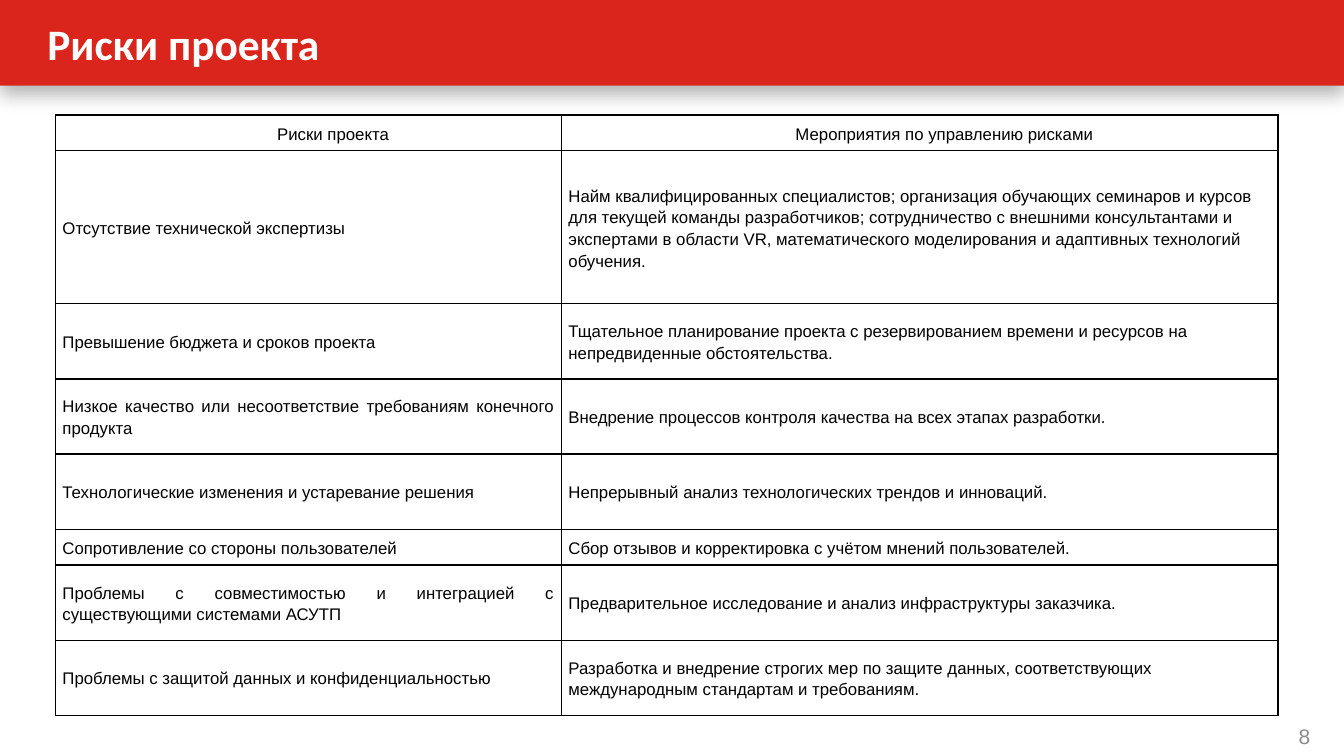
from dataclasses import dataclass

from lxml import etree
from pptx import Presentation
from pptx.dml.color import RGBColor
from pptx.enum.shapes import MSO_SHAPE
from pptx.enum.text import MSO_ANCHOR, MSO_AUTO_SIZE, PP_ALIGN
from pptx.oxml import parse_xml
from pptx.oxml.ns import nsdecls
from pptx.util import Emu, Inches, Pt

LEFT, CENTER, RIGHT, JUSTIFY = PP_ALIGN.LEFT, PP_ALIGN.CENTER, PP_ALIGN.RIGHT, PP_ALIGN.JUSTIFY
MIDDLE = MSO_ANCHOR.MIDDLE
NO_AUTOFIT = MSO_AUTO_SIZE.NONE
RECTANGLE = MSO_SHAPE.RECTANGLE

# Grid: 160 columns by 90 rows of square units
COLUMNS, ROWS = 160, 90
UNIT = Inches(1) / 12

RED, WHITE, BLACK, GRAY = "DA251D", "FFFFFF", "000000", "8C8C8C"
BANNER_HEIGHT = 10.2
COLUMN_WIDTHS = (60.24, 85.32)
SHORT_ROW, MEDIUM_ROW, TALL_ROW = 4.28, 8.94, 18.22


@dataclass(frozen=True)
class Box:
    left: float
    top: float
    width: float
    height: float


@dataclass(frozen=True)
class TextStyle:
    font: str
    size: float
    color: str
    align: PP_ALIGN = LEFT
    bold: bool = False


@dataclass(frozen=True)
class RiskRow:
    risk: str
    measure: str
    height: float = MEDIUM_ROW
    risk_align: PP_ALIGN = JUSTIFY
    measure_align: PP_ALIGN = LEFT


RISK_ROWS = (
    RiskRow("Риски проекта", "Мероприятия по управлению рисками", SHORT_ROW, CENTER, CENTER),
    RiskRow(
        "Отсутствие технической экспертизы",
        "Найм квалифицированных специалистов; организация обучающих семинаров и курсов "
        "для текущей команды разработчиков; сотрудничество с внешними консультантами и "
        "экспертами в области VR, математического моделирования и адаптивных технологий "
        "обучения.",
        TALL_ROW,
        LEFT,
    ),
    RiskRow(
        "Превышение бюджета и сроков проекта",
        "Тщательное планирование проекта с резервированием времени и ресурсов на "
        "непредвиденные обстоятельства.",
    ),
    RiskRow(
        "Низкое качество или несоответствие требованиям конечного продукта",
        "Внедрение процессов контроля качества на всех этапах разработки.",
    ),
    RiskRow(
        "Технологические изменения и устаревание решения",
        "Непрерывный анализ технологических трендов и инноваций.",
    ),
    RiskRow(
        "Сопротивление со стороны пользователей",
        "Сбор отзывов и корректировка с учётом мнений пользователей.",
        SHORT_ROW,
    ),
    RiskRow(
        "Проблемы с совместимостью и интеграцией с существующими системами АСУТП",
        "Предварительное исследование и анализ инфраструктуры заказчика.",
    ),
    RiskRow(
        "Проблемы с защитой данных и конфиденциальностью",
        "Разработка и внедрение строгих мер по защите данных, соответствующих "
        "международным стандартам и требованиям.",
    ),
)


def units(count: float) -> Emu:
    return Emu(round(count * UNIT))


def rgb(color: str) -> RGBColor:
    return RGBColor.from_string(color)


def place(shape, box: Box) -> None:
    shape.left, shape.top = units(box.left), units(box.top)
    shape.width, shape.height = units(box.width), units(box.height)


def style_paragraph(paragraph, style: TextStyle) -> None:
    paragraph.alignment = style.align
    for run in paragraph.runs:
        run.font.name = style.font
        run.font.size = Pt(style.size)
        run.font.bold = style.bold
        run.font.color.rgb = rgb(style.color)


def write_text(shape, text: str, style: TextStyle) -> None:
    frame = shape.text_frame
    frame.text = text
    frame.word_wrap = True
    frame.auto_size = NO_AUTOFIT
    frame.vertical_anchor = MIDDLE
    frame.margin_left = frame.margin_right = Inches(0.13)
    frame.margin_top = frame.margin_bottom = Inches(0.06)
    style_paragraph(frame.paragraphs[0], style)


def add_banner(slide) -> None:
    banner = slide.shapes.add_shape(RECTANGLE, 0, 0, units(COLUMNS), units(BANNER_HEIGHT))
    banner.fill.solid()
    banner.fill.fore_color.rgb = rgb(RED)
    banner.line.fill.background()
    banner.shadow.inherit = False
    effects = banner._element.spPr.find("{*}effectLst")
    effects.append(parse_xml(
        f'<a:outerShdw {nsdecls("a")} blurRad="{Pt(14)}" dist="{Pt(5)}" dir="5400000" '
        f'algn="t" rotWithShape="0"><a:srgbClr val="{BLACK}"><a:alpha val="31000"/>'
        '</a:srgbClr></a:outerShdw>'
    ))
    # Keep the banner behind the title
    slide.shapes._spTree.insert(2, banner._element)


def draw_borders(cell) -> None:
    properties = cell._tc.get_or_add_tcPr()
    for position, side in enumerate(("lnL", "lnR", "lnT", "lnB")):
        border = parse_xml(
            f'<a:{side} {nsdecls("a")} w="{Pt(1)}"><a:solidFill>'
            f'<a:srgbClr val="{BLACK}"/></a:solidFill></a:{side}>'
        )
        properties.insert(position, border)


def fill_cell(cell, text: str, align: PP_ALIGN) -> None:
    cell.text = text
    cell.fill.background()
    cell.vertical_anchor = MIDDLE
    cell.margin_left = cell.margin_right = Inches(0.07)
    cell.margin_top = cell.margin_bottom = 0
    paragraph = cell.text_frame.paragraphs[0]
    paragraph.line_spacing = 1.15
    style_paragraph(paragraph, TextStyle("Arial", 12, BLACK, align))
    if align == CENTER:
        paragraph._p.get_or_add_pPr().set("indent", str(Inches(0.49)))
    draw_borders(cell)


def add_risk_table(slide, left: float, top: float) -> None:
    height = sum(row.height for row in RISK_ROWS)
    table = slide.shapes.add_table(
        len(RISK_ROWS), len(COLUMN_WIDTHS),
        units(left), units(top), units(sum(COLUMN_WIDTHS)), units(height),
    ).table
    table.first_row = table.horz_banding = False
    for column, width in zip(table.columns, COLUMN_WIDTHS):
        column.width = units(width)
    for table_row, content in zip(table.rows, RISK_ROWS):
        table_row.height = units(content.height)
        risk_cell, measure_cell = table_row.cells
        fill_cell(risk_cell, content.risk, content.risk_align)
        fill_cell(measure_cell, content.measure, content.measure_align)


def main() -> None:
    presentation = Presentation()
    presentation.slide_width, presentation.slide_height = units(COLUMNS), units(ROWS)
    slide = presentation.slides.add_slide(presentation.slide_layouts[5])

    # Header
    add_banner(slide)
    title = slide.shapes.title
    place(title, Box(4.08, 0, 145.92, BANNER_HEIGHT))
    write_text(title, "Риски проекта", TextStyle("Calibri", 31, WHITE, bold=True))

    # Risks and measures
    add_risk_table(slide, 6.6, 13.68)

    # Page number
    page_number = slide.shapes.add_textbox(0, 0, 0, 0)
    place(page_number, Box(147.6, 85.2, 9.96, 4.8))
    write_text(page_number, "8", TextStyle("Arial", 15, GRAY, RIGHT))

    presentation.save("out.pptx")


if __name__ == "__main__":
    main()
